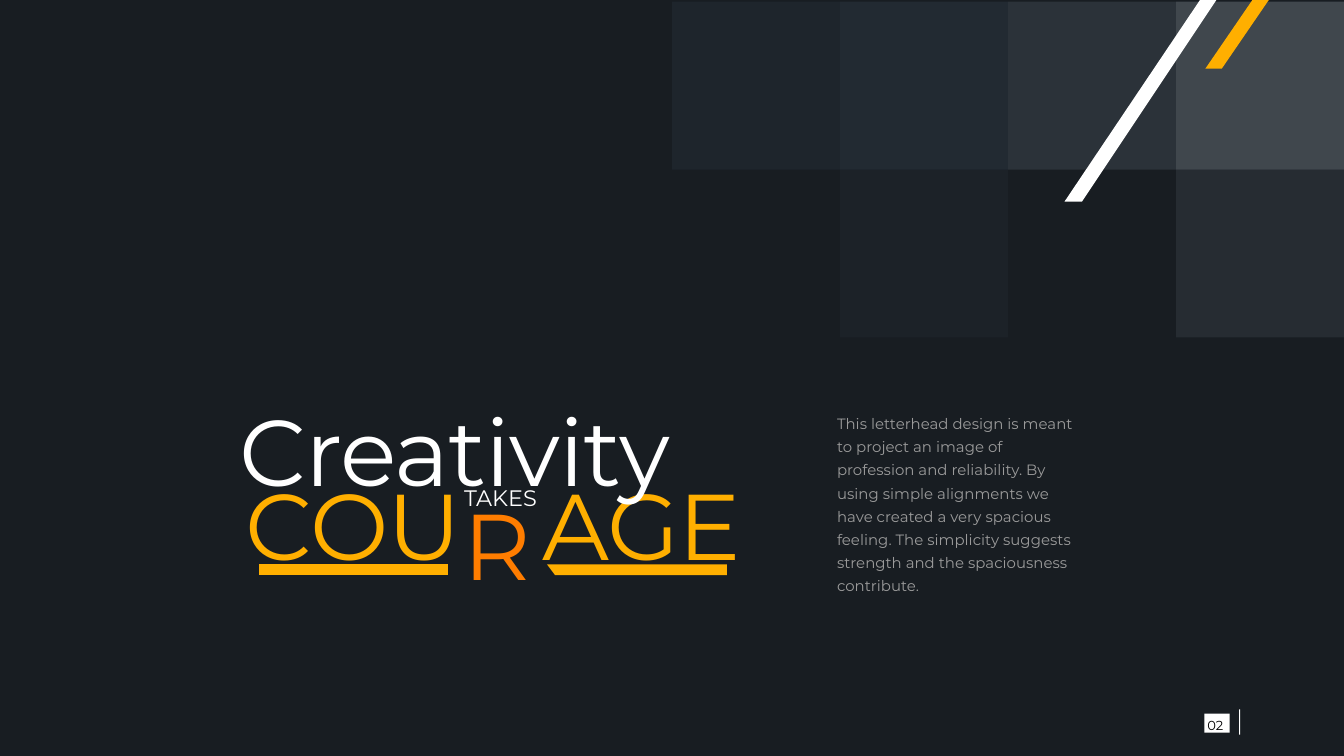
from dataclasses import dataclass

from lxml import etree
from pptx import Presentation
from pptx import util as u
from pptx.dml.color import RGBColor
from pptx.enum import shapes, text
from pptx.oxml import ns


@dataclass(frozen=True)
class Theme:
    font: str = "Montserrat"
    back: str = "181D22"
    white: str = "FFFFFF"
    black: str = "000000"
    grey: str = "9B9B9B"
    gold: str = "FFAF00"
    flame: str = "FF7D00"
    mist: str = "8C96A0"
    slate: str = "505A64"
    navy: str = "28323C"
    huge: float = 50
    small: float = 12
    body: float = 8
    page: float = 7


@dataclass(frozen=True)
class Box:
    left: float
    top: float
    width: float
    height: float

    def cm(self) -> list[u.Cm]:
        return [u.Cm(n) for n in (self.left, self.top, self.width, self.height)]


@dataclass(frozen=True)
class Tile:
    col: int
    row: int
    color: str
    alpha: int


@dataclass(frozen=True)
class Label:
    words: str
    box: Box
    size: float
    color: str
    center: bool = False
    lines: float = 1.0
    track: int = 0  # hundredths of a point


@dataclass(frozen=True)
class Band:
    color: str
    points: tuple[tuple[float, float], ...]


def paint(shape, color: str, alpha: int = 100) -> None:
    shape.shadow.inherit = False
    shape.line.fill.background()
    shape.fill.solid()
    shape.fill.fore_color.rgb = RGBColor.from_string(color)
    if alpha < 100:
        tone = shape.fill._xPr.find(".//" + ns.qn("a:srgbClr"))
        etree.SubElement(tone, ns.qn("a:alpha"), val=str(alpha * 1000))


def draw_rect(slide, box: Box, color: str, alpha: int = 100) -> None:
    rect = slide.shapes.add_shape(shapes.MSO_SHAPE.RECTANGLE, *box.cm())
    paint(rect, color, alpha)


def draw_band(slide, band: Band) -> None:
    first, *rest = [(u.Cm(x), u.Cm(y)) for x, y in band.points]
    pen = slide.shapes.build_freeform(*first)
    pen.add_line_segments(rest, close=True)
    paint(pen.convert_to_shape(), band.color)


def draw_label(slide, label: Label, theme: Theme) -> None:
    frame = slide.shapes.add_textbox(*label.box.cm()).text_frame
    frame.margin_left = frame.margin_right = 0
    frame.margin_top = frame.margin_bottom = 0
    frame.word_wrap = True
    frame.vertical_anchor = text.MSO_ANCHOR.MIDDLE
    frame.text = label.words
    para = frame.paragraphs[0]
    para.line_spacing = label.lines
    if label.center:
        para.alignment = text.PP_ALIGN.CENTER
    run = para.runs[0]
    run.font.name = theme.font
    run.font.size = u.Pt(label.size)
    run.font.color.rgb = RGBColor.from_string(label.color)
    if label.track:
        run.font._element.set("spc", str(label.track))


def main() -> None:
    t = Theme()
    wide = 25.4
    deck = Presentation()
    deck.slide_width, deck.slide_height = u.Cm(wide), u.Cm(14.29)
    slide = deck.slides.add_slide(deck.slide_layouts[6])
    slide.background.fill.solid()
    slide.background.fill.fore_color.rgb = RGBColor.from_string(t.back)

    # Translucent tiles, on a grid of eight columns
    side = wide / 8
    tiles = (
        Tile(7, 0, t.mist, 35), Tile(7, 1, t.slate, 25),
        Tile(6, 0, t.slate, 35), Tile(5, 0, t.navy, 65),
        Tile(5, 1, t.navy, 25), Tile(4, 0, t.navy, 40),
    )
    for tile in tiles:
        box = Box(tile.col * side, 0.03 + tile.row * side, side, side)
        draw_rect(slide, box, tile.color, tile.alpha)

    # Description
    words = (
        "This letterhead design is meant to project an image of profession "
        "and reliability. By using simple alignments we have created a very "
        "spacious feeling. The simplicity suggests strength and the "
        "spaciousness contribute."
    )
    draw_label(slide, Label(words, Box(15.82, 8.03, 4.6, 2.92), t.body,
                            t.grey, lines=1.3), t)

    # Slanted stripes
    stripes = (
        Band(t.white, ((20.12, 3.81), (22.68, 0), (22.99, 0), (20.45, 3.81))),
        Band(t.gold, ((22.78, 1.3), (23.67, 0), (23.98, 0), (23.09, 1.3))),
    )
    for band in stripes:
        draw_band(slide, band)

    # Page number
    draw_rect(slide, Box(22.76, 13.49, 0.48, 0.36), t.white)
    draw_label(slide, Label("02", Box(22.68, 13.46, 0.58, 0.41), t.page,
                            t.black, center=True, lines=1.3), t)
    draw_rect(slide, Box(23.42, 13.41, 0.02, 0.48), t.white)

    # Title words
    title = (
        Label("COU", Box(4.65, 8.74, 4.2, 2.31), t.huge, t.gold, track=-60),
        Label("AGE", Box(10.26, 8.74, 4.2, 2.31), t.huge, t.gold, track=-60),
        Label("R", Box(8.64, 9.12, 1.5, 2.31), t.huge, t.flame, center=True),
        Label("Creativity", Box(4.52, 7.34, 9.4, 2.29), t.huge, t.white,
              track=-50),
        Label("TAKES", Box(8.71, 9.09, 1.5, 0.64), t.small, t.white,
              center=True),
    )
    for label in title:
        draw_label(slide, label, t)

    # Title underlines
    top, low = 10.67, 10.87
    rules = (
        Band(t.gold, ((8.46, low), (8.46, top), (4.9, top), (4.9, low))),
        Band(t.gold, ((13.74, low), (13.74, top), (10.34, top), (10.49, low))),
    )
    for band in rules:
        draw_band(slide, band)

    deck.save("out.pptx")


if __name__ == "__main__":
    main()
